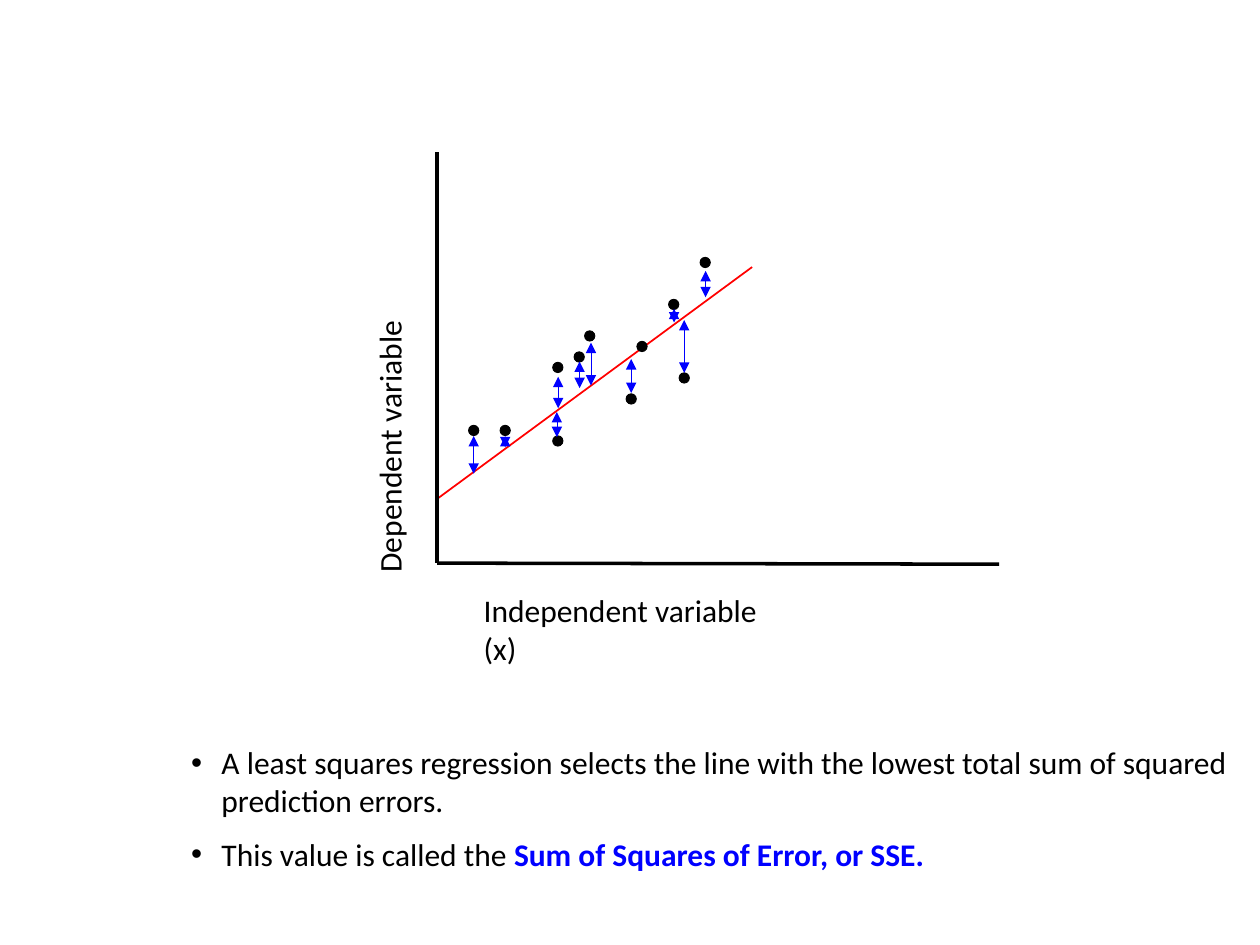
"""Build a slide that explains the sum of squared errors of a regression line."""
from lxml.etree import SubElement
from pptx import Presentation
from pptx.dml.color import RGBColor
from pptx.enum.shapes import MSO_CONNECTOR, MSO_SHAPE
from pptx.enum.text import MSO_AUTO_SIZE
from pptx.oxml.ns import qn
from pptx.util import Pt

THEME = {
    "font": "Calibri",
    "size": 18,
    "ink": RGBColor(0, 0, 0),
    "error": RGBColor(0, 0, 255),
    "fit": RGBColor(255, 0, 0),
}

REGRESSION = (249.8, 285.1, 429.8, 152.6)
AXES = [(249.8, 87.1, 249.8, 321.8), (249.8, 321.8, 571, 322.4)]
DOT_SIZE = 5.9
DOT_CENTRES = [
    (270.7, 246), (288.7, 246), (318.8, 252), (318.8, 210), (331, 204),
    (337, 192), (360.7, 228), (366.9, 198), (385, 174), (391, 216), (403, 150),
]
ERRORS = [
    (270.7, 249.1, 270.7), (288.7, 249.1, 255.6), (318.2, 235.4, 249.8),
    (319, 215.3, 233.3), (331.2, 206.6, 221.8), (337.7, 195.8, 220.3),
    (360.7, 205.2, 224.6), (391, 182.9, 213.1), (403.2, 154.8, 169.9),
    (385.2, 176.4, 184.3),
]
AXIS_LABELS = [
    ("Independent variable (x)", (269.3, 334.1, 193, 29.1), 0, False),
    ("Dependent variable", (126.7, 223.9, 191.5, 29.1), 270, True),
]
NOTES_AREA = (102.2, 421.2, 617.8, 80.6)
NOTES = [
    [("A least squares regression selects the line with the lowest total "
      "sum of squared prediction errors.", False)],
    [("This value is called the ", False),
     ("Sum of Squares of Error, or SSE.", True)],
]


def add_line(page, ends, color, width, arrows=False):
    """Draw a straight line, with arrowheads at both ends on request."""
    line = page.shapes.add_connector(MSO_CONNECTOR.STRAIGHT, *map(Pt, ends))
    line.line.color.rgb = color
    line.line.width = Pt(width)
    if arrows:
        outline = line.line._get_or_add_ln()
        for end in ("a:headEnd", "a:tailEnd"):
            SubElement(outline, qn(end), type="triangle")
    SubElement(line._element.spPr, qn("a:effectLst"))


def add_dot(page, x, y):
    """Draw one observation centred on a point."""
    corner = (x - DOT_SIZE / 2, y - DOT_SIZE / 2)
    dot = page.shapes.add_shape(
        MSO_SHAPE.OVAL, *map(Pt, (*corner, DOT_SIZE, DOT_SIZE)))
    dot.shadow.inherit = False
    dot.fill.solid()
    dot.fill.fore_color.rgb = THEME["ink"]
    dot.line.color.rgb = THEME["ink"]
    dot.line.width = Pt(0.5)


def add_bullet(para, indent=17.3):
    """Give a paragraph a round bullet with a hanging indent."""
    properties = para._p.get_or_add_pPr()
    properties.set("marL", str(Pt(indent)))
    properties.set("indent", str(-Pt(indent)))
    color = SubElement(properties, qn("a:buClr"))
    SubElement(color, qn("a:srgbClr"), val=str(THEME["ink"]))
    SubElement(properties, qn("a:buFont"), typeface="Arial")
    SubElement(properties, qn("a:buChar"), char="•")


def add_text(page, paragraphs, area, rotation=0, wrap=True, bullets=False, gap=0):
    """Add a text box from paragraphs of (text, emphasised) spans."""
    box = page.shapes.add_textbox(*map(Pt, area))
    box.rotation = rotation
    frame = box.text_frame
    frame.word_wrap = wrap
    frame.auto_size = MSO_AUTO_SIZE.SHAPE_TO_FIT_TEXT
    for index, spans in enumerate(paragraphs):
        para = frame.add_paragraph() if index else frame.paragraphs[0]
        if bullets:
            add_bullet(para)
        if index:
            para.space_before = Pt(gap)
        for text, emphasised in spans:
            span = para.add_run()
            span.text = text
            span.font.name = THEME["font"]
            span.font.size = Pt(THEME["size"])
            span.font.bold = emphasised
            span.font.color.rgb = THEME["error" if emphasised else "ink"]


def main():
    """Assemble and save the deck."""
    deck = Presentation()
    deck.slide_width, deck.slide_height = Pt(720), Pt(540)
    page = deck.slides.add_slide(deck.slide_layouts.get_by_name("Blank"))
    add_line(page, REGRESSION, THEME["fit"], 1)
    for ends in AXES:
        add_line(page, ends, THEME["ink"], 2)
    for centre in DOT_CENTRES:
        add_dot(page, *centre)
    for text, area, rotation, wrap in AXIS_LABELS:
        add_text(page, [[(text, False)]], area, rotation=rotation, wrap=wrap)
    add_text(page, NOTES, NOTES_AREA, bullets=True, gap=9)
    for x, top, bottom in ERRORS:
        add_line(page, (x, top, x, bottom), THEME["error"], 0.25, arrows=True)
    deck.save("out.pptx")


if __name__ == "__main__":
    main()
